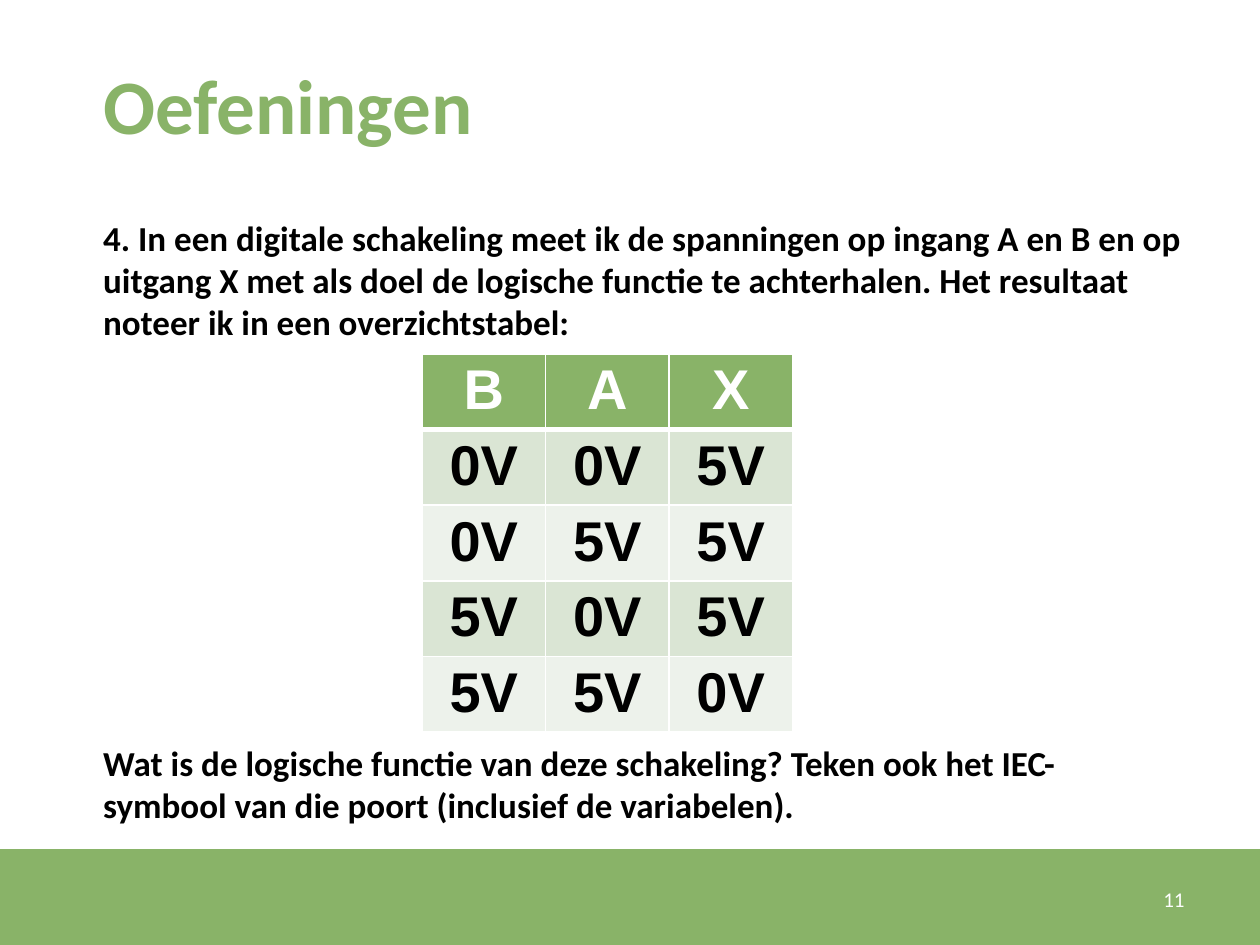
from pptx import Presentation
from pptx.dml.color import RGBColor
from pptx.enum.shapes import MSO_SHAPE
from pptx.enum.text import MSO_ANCHOR, PP_ALIGN
from pptx.oxml import parse_xml
from pptx.oxml.ns import nsdecls
from pptx.util import Inches, Pt

RECTANGLE = MSO_SHAPE.RECTANGLE
TOP, MIDDLE = MSO_ANCHOR.TOP, MSO_ANCHOR.MIDDLE
LEFT, CENTER, RIGHT = PP_ALIGN.LEFT, PP_ALIGN.CENTER, PP_ALIGN.RIGHT

# Content
TITLE = "Oefeningen"
QUESTION = [
    "4. In een digitale schakeling meet ik de spanningen op ingang A en B en op "
    "uitgang X met als doel de logische functie te achterhalen. Het resultaat "
    "noteer ik in een overzichtstabel:",
    "Wat is de logische functie van deze schakeling? Teken ook het IEC- "
    "symbool van die poort (inclusief de variabelen).",
]
VOLTAGES = [
    ("B", "A", "X"),
    ("0V", "0V", "5V"),
    ("0V", "5V", "5V"),
    ("5V", "0V", "5V"),
    ("5V", "5V", "0V"),
]
PAGE_NUMBER = "11"

THEME = {
    "green": "89B368", "bands": ("DAE5D4", "EDF2EB"),
    "white": "FFFFFF", "black": "000000",
    "text_font": "Calibri", "table_font": "Arial",
    "title": 44, "body": 20, "table": 32, "number": 12,
}
COLUMN_WIDTH, ROW_HEIGHT = 0.98, 0.6
TABLE_GAP = 228  # points between the two paragraphs, room for the table


def write(frame, paragraphs, *, size, color, font=THEME["text_font"], bold=True,
          align=LEFT, gap=0):
    for index, text in enumerate(paragraphs):
        para = frame.add_paragraph() if index else frame.paragraphs[0]
        para.alignment = align
        if index:
            para.space_before = Pt(gap)
        span = para.add_run()
        span.text = text
        span.font.name, span.font.size, span.font.bold = font, Pt(size), bold
        span.font.color.rgb = RGBColor.from_string(color)


def add_text(page, place, paragraphs, *, anchor=TOP, **text_format):
    box = page.shapes.add_textbox(*map(Inches, place))
    box.text_frame.word_wrap = True
    box.text_frame.vertical_anchor = anchor
    write(box.text_frame, paragraphs, **text_format)


def set_borders(cell, widths):
    properties = cell._tc.get_or_add_tcPr()
    for index, (side, width) in enumerate(widths.items()):
        properties.insert(index, parse_xml(
            f'<a:{side} {nsdecls("a")} w="{Pt(width)}"><a:solidFill>'
            f'<a:srgbClr val="{THEME["white"]}"/></a:solidFill></a:{side}>'))


def add_voltage_table(page, left, top):
    rows, columns = len(VOLTAGES), len(VOLTAGES[0])
    table = page.shapes.add_table(
        rows, columns, Inches(left), Inches(top),
        Inches(columns * COLUMN_WIDTH), Inches(rows * ROW_HEIGHT)).table
    for column in table.columns:
        column.width = Inches(COLUMN_WIDTH)
    for row_index, values in enumerate(VOLTAGES):
        table.rows[row_index].height = Inches(ROW_HEIGHT)
        header = row_index == 0
        fill = THEME["green"] if header else THEME["bands"][(row_index - 1) % 2]
        for column_index, value in enumerate(values):
            cell = table.cell(row_index, column_index)
            # Small margins keep the large type within the row height
            cell.margin_top, cell.margin_bottom = Inches(0.04), Inches(0)
            cell.fill.solid()
            cell.fill.fore_color.rgb = RGBColor.from_string(fill)
            set_borders(cell, {"lnL": 1, "lnR": 1,
                               "lnT": 3 if row_index == 1 else 1,
                               "lnB": 3 if header else 1})
            write(cell.text_frame, [value], size=THEME["table"],
                  color=THEME["white" if header else "black"],
                  font=THEME["table_font"], align=CENTER)


deck = Presentation()
deck.slide_width, deck.slide_height = Inches(10), Inches(7.5)
page = deck.slides.add_slide(deck.slide_layouts[6])

# Footer band
band = page.shapes.add_shape(RECTANGLE, 0, Inches(6.74), Inches(10), Inches(0.76))
band.shadow.inherit = False
band.fill.solid()
band.fill.fore_color.rgb = RGBColor.from_string(THEME["green"])
band.line.fill.background()

# Title, question and page number
add_text(page, (0.72, 0.2, 8.78, 1.25), [TITLE], anchor=MIDDLE,
         size=THEME["title"], color=THEME["green"])
add_text(page, (0.72, 1.67, 8.78, 4.95), QUESTION,
         size=THEME["body"], color=THEME["black"], gap=TABLE_GAP)
add_text(page, (8.92, 6.94, 0.58, 0.4), [PAGE_NUMBER], anchor=MIDDLE, align=RIGHT,
         size=THEME["number"], color=THEME["white"], bold=False)

# Measured voltages
add_voltage_table(page, 3.35, 2.81)

deck.save("out.pptx")
